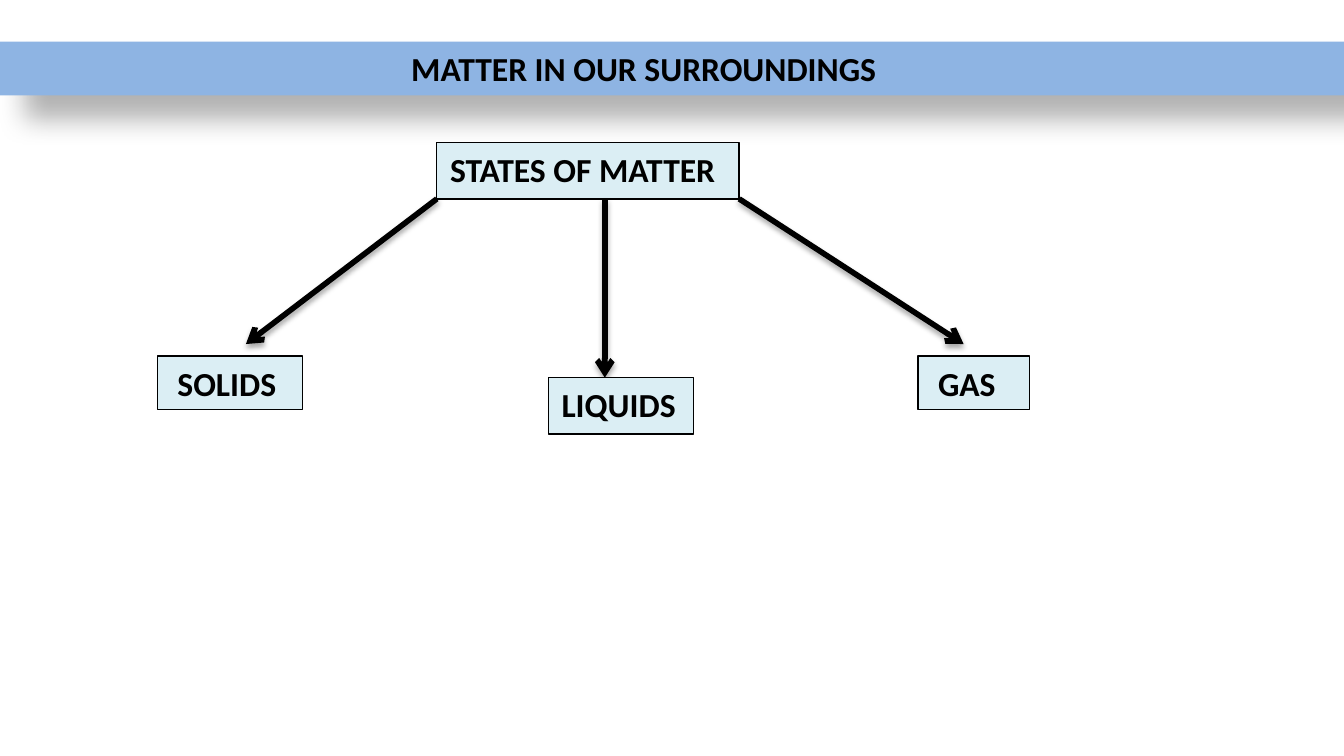
from pptx import Presentation
from pptx.dml.color import RGBColor as Rgb
from pptx.enum.shapes import MSO_CONNECTOR as Link, MSO_SHAPE as Kind
from pptx.enum.text import MSO_ANCHOR as Anchor, PP_ALIGN as Align
from pptx.oxml.ns import qn
from pptx.util import Inches, Pt
from lxml.etree import SubElement as Sub


def tint(code):
    return Rgb.from_string(code)


class Chart:
    font = "Calibri"
    size = 18
    ink = "000000"
    pale = "DBEEF4"
    band = "8EB4E3"

    def __init__(self, slide):
        self.slide = slide

    def shade(self, item, alpha, blur, dist, angle):
        props = item._element.spPr
        glow = props.find(qn("a:effectLst"))
        if glow is None:
            glow = Sub(props, qn("a:effectLst"))
        cast = Sub(glow, qn("a:outerShdw"), blurRad=str(Pt(blur)),
                   dist=str(Pt(dist)), dir=str(angle * 60000),
                   algn="tl", rotWithShape="0")
        color = Sub(cast, qn("a:srgbClr"), val=self.ink)
        Sub(color, qn("a:alpha"), val=str(alpha * 1000))

    def box(self, text, x, y, w, h, inset=0.1, fill=pale, edge=True):
        item = self.slide.shapes.add_shape(
            Kind.RECTANGLE, Inches(x), Inches(y), Inches(w), Inches(h))
        item.shadow.inherit = False
        item.fill.solid()
        item.fill.fore_color.rgb = tint(fill)
        if edge:
            item.line.color.rgb = tint(self.ink)
            item.line.width = Pt(0.75)
        else:
            item.line.fill.background()
        frame = item.text_frame
        frame.word_wrap = True
        frame.vertical_anchor = Anchor.TOP
        frame.margin_left = Inches(inset)
        frame.margin_right = Inches(0.05)
        para = frame.paragraphs[0]
        para.alignment = Align.LEFT
        run = para.add_run()
        run.text = text
        run.font.name = self.font
        run.font.size = Pt(self.size)
        run.font.bold = True
        run.font.color.rgb = tint(self.ink)
        return item

    def arrow(self, x1, y1, x2, y2):
        item = self.slide.shapes.add_connector(
            Link.STRAIGHT, Inches(x1), Inches(y1), Inches(x2), Inches(y2))
        item.line.color.rgb = tint(self.ink)
        item.line.width = Pt(3)
        Sub(item.line._get_or_add_ln(), qn("a:tailEnd"), type="arrow")
        self.shade(item, 35, 3.1, 1.8, 90)


def main():
    deck = Presentation()
    deck.slide_width = Inches(10)
    deck.slide_height = deck.slide_width * 9 // 16
    chart = Chart(deck.slides.add_slide(deck.slide_layouts[6]))

    title = chart.box("MATTER IN OUR SURROUNDINGS", 0, 0.31, 10, 0.4,
                      inset=3.06, fill=chart.band, edge=False)
    chart.shade(title, 30, 15, 18, 45)

    chart.box("STATES OF MATTER", 3.25, 1.06, 2.25, 0.42)
    for start, end, base in ((3.25, 1.83, 2.56), (4.5, 4.5, 2.81),
                             (5.5, 7.17, 2.56)):
        chart.arrow(start, 1.48, end, base)

    for name, x, y, w, h, inset in (("LIQUIDS", 4.08, 2.81, 1.08, 0.42, 0.1),
                                    ("SOLIDS", 1.17, 2.65, 1.08, 0.4, 0.15),
                                    ("GAS", 6.83, 2.65, 0.83, 0.4, 0.15)):
        chart.box(name, x, y, w, h, inset)

    deck.save("out.pptx")


if __name__ == "__main__":
    main()
